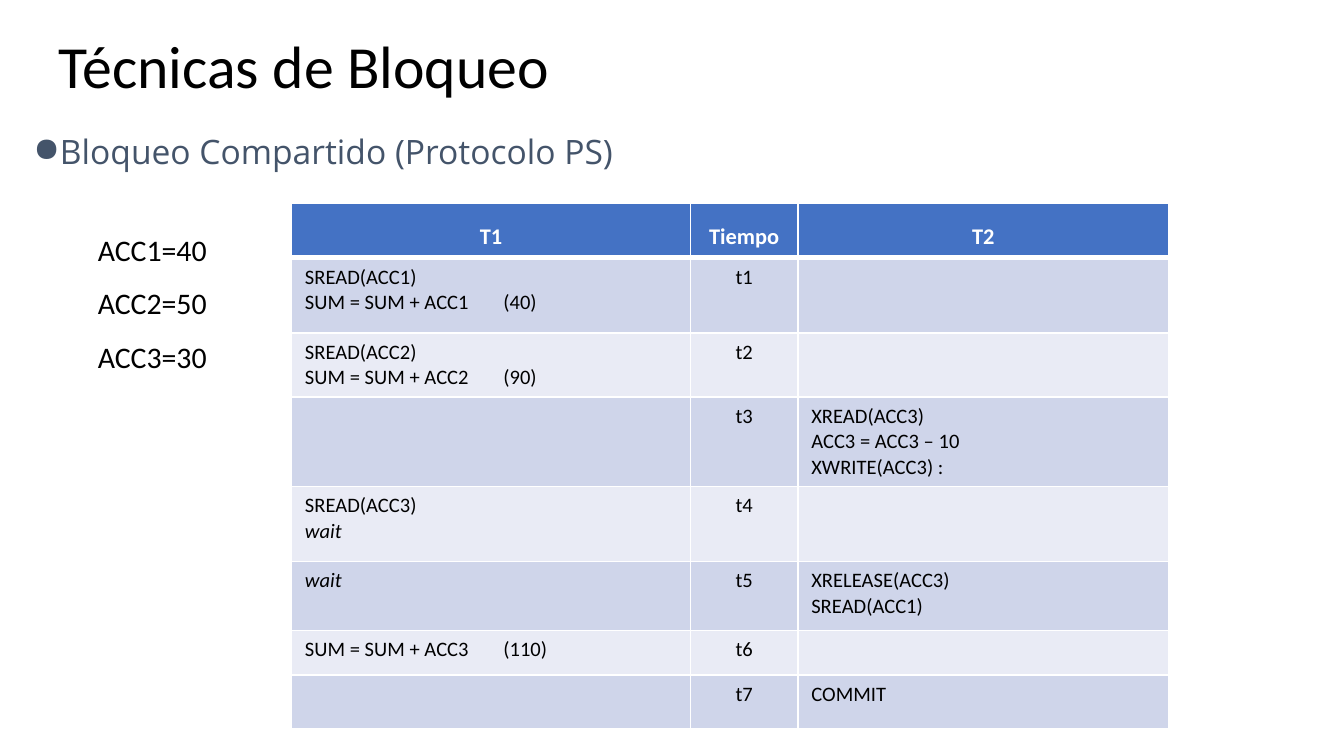
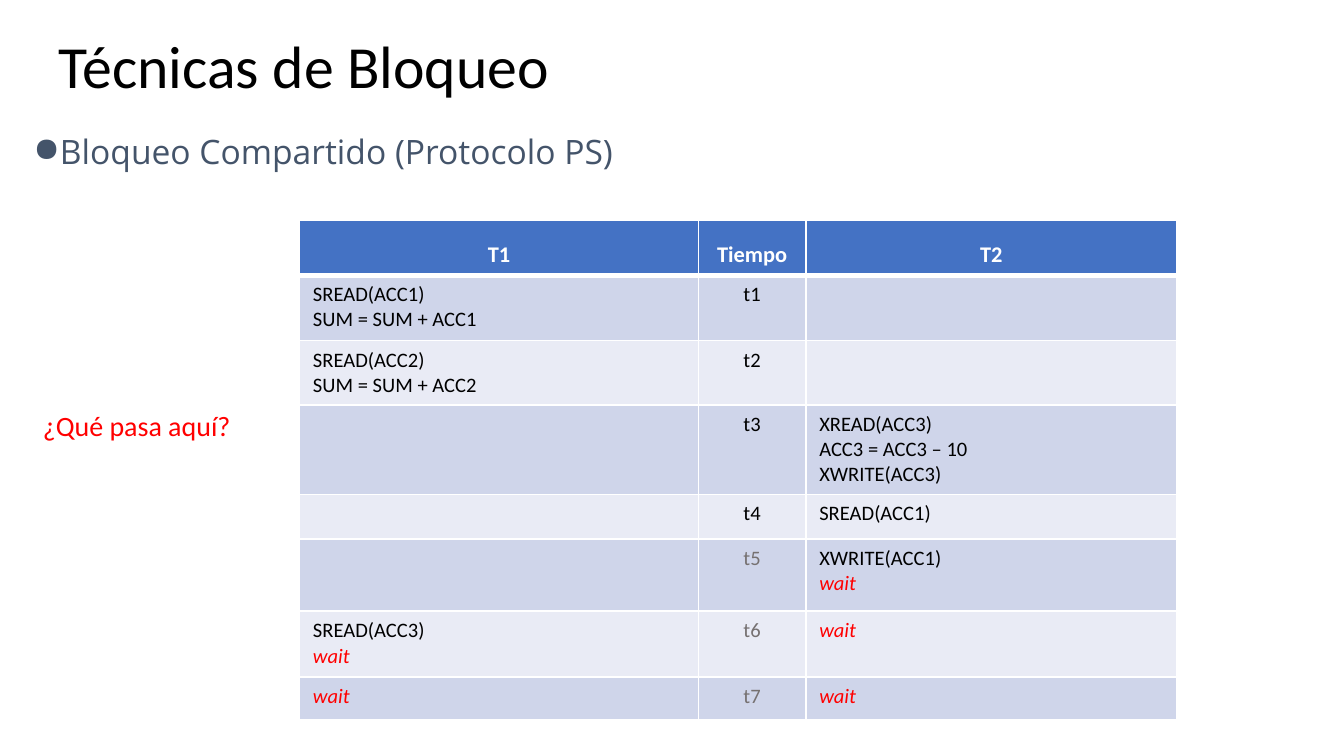
from dataclasses import dataclass
from typing import NamedTuple

from lxml.etree import SubElement as Sub
from pptx import Presentation as Deck
from pptx.dml.color import RGBColor as Rgb
from pptx.enum.text import MSO_ANCHOR as Anchor, MSO_AUTO_SIZE as Fit, PP_ALIGN as Align
from pptx.oxml.ns import qn
from pptx.util import Cm, Pt


@dataclass(frozen=True)
class Theme:
    black: str = "000000"
    white: str = "FFFFFF"
    red: str = "FF0000"
    gray: str = "767171"
    slate: str = "44546A"
    head: str = "4472C4"
    bands: tuple[str, str] = ("CFD5EA", "E9EBF5")
    sans: str = "Calibri"
    open: str = "Open Sans"
    title: float = 32
    topic: float = 18
    label: float = 12
    cell: float = 11
    thin: float = 1
    thick: float = 3


T = Theme()


class Box(NamedTuple):
    left: float
    top: float
    wide: float
    high: float


class Line(NamedTuple):
    text: str
    color: str = T.black
    slant: bool = False


class Step(NamedTuple):
    high: float
    first: tuple[Line, ...] = ()
    last: tuple[Line, ...] = ()
    color: str = T.black


class Grid(NamedTuple):
    left: float
    top: float
    head: float
    steps: tuple[Step, ...]


class Note(NamedTuple):
    box: Box
    lines: tuple[Line, ...]
    size: float
    space: float


class Page(NamedTuple):
    grid: Grid
    note: Note


TITLE = Box(0.86, 0.43, 23.46, 1.75)
TOPIC = Box(0.38, 1.85, 23.46, 2.11)
COLS = (7.54, 2.03, 7.01)
HEADS = ("T1", "Tiempo", "T2")
TAB = Cm(3.75)


def code(*texts: str) -> tuple[Line, ...]:
    return tuple(Line(text) for text in texts)


WAIT = Line("wait", T.black, True)
STUCK = Line("wait", T.red, True)
WRITE = ("XREAD(ACC3)", "ACC3 = ACC3 – 10")

PAGES = (
    Page(
        Grid(5.51, 3.84, 0.84, (
            Step(1.42, code("SREAD(ACC1)", "SUM = SUM + ACC1\t(40)")),
            Step(0.86, code("SREAD(ACC2)", "SUM = SUM + ACC2\t(90)")),
            Step(0.86, (), code(*WRITE, "XWRITE(ACC3) :")),
            Step(1.42, code("SREAD(ACC3)") + (WAIT,)),
            Step(1.3, (WAIT,), code("XRELEASE(ACC3)", "SREAD(ACC1)")),
            Step(0.84, code("SUM = SUM + ACC3\t(110)")),
            Step(1.02, (), code("COMMIT")),
        )),
        Note(Box(1.6, 3.91, 2.59, 3.23), code("ACC1=40", "ACC2=50", "ACC3=30"), 16, 1.5),
    ),
    Page(
        Grid(5.66, 4.17, 0.99, (
            Step(1.24, code("SREAD(ACC1)", "SUM = SUM + ACC1")),
            Step(1.17, code("SREAD(ACC2)", "SUM = SUM + ACC2")),
            Step(1.63, (), code(*WRITE, "XWRITE(ACC3)")),
            Step(0.84, (), code("SREAD(ACC1)")),
            Step(1.37, (), code("XWRITE(ACC1)") + (STUCK,), T.gray),
            Step(1.24, code("SREAD(ACC3)") + (STUCK,), (STUCK,), T.gray),
            Step(0.81, (STUCK,), (STUCK,), T.gray),
        )),
        Note(Box(0.56, 7.59, 4.65, 0.89), (Line("¿Qué pasa aquí?", T.red),), 15, 1.0),
    ),
)


def style(para, size: float, color: str, face: str = T.sans, bold: bool = False, slant: bool = False) -> None:
    font = para.font
    font.size, font.name = Pt(size), face
    font.bold, font.italic = bold, slant
    font.color.rgb = Rgb.from_string(color)


def place(shape, box: Box) -> None:
    shape.left, shape.top, shape.width, shape.height = map(Cm, box)


def pad(frame) -> None:
    frame.margin_left = frame.margin_right = Cm(0.25)
    frame.margin_top = frame.margin_bottom = Cm(0.25)
    frame.word_wrap = True
    frame.auto_size = Fit.NONE


def write(frame, lines: tuple[Line, ...], size: float, space: float = 1.0,
          align: Align = Align.LEFT, bold: bool = False) -> None:
    for i, line in enumerate(lines):
        para = frame.add_paragraph() if i else frame.paragraphs[0]
        para.text = line.text
        para.alignment, para.line_spacing = align, space
        if "\t" in line.text:
            tabs = Sub(para._p.get_or_add_pPr(), qn("a:tabLst"))
            Sub(tabs, qn("a:tab"), pos=str(TAB), algn="l")
        style(para, size, line.color, bold=bold, slant=line.slant)
    if not lines:
        Sub(frame.paragraphs[0]._p, qn("a:endParaRPr"), sz=str(int(size * 100)))


def edge(cell, side: str, width: float) -> None:
    line = Sub(cell._tc.get_or_add_tcPr(), qn(f"a:ln{side}"), w=str(Pt(width)))
    Sub(Sub(line, qn("a:solidFill")), qn("a:srgbClr"), val=T.white)


def paint(cell, color: str, head: bool) -> None:
    for side in "LRTB" if head else "LRB":
        edge(cell, side, T.thick if head and side == "B" else T.thin)
    cell.fill.solid()
    cell.fill.fore_color.rgb = Rgb.from_string(color)


def add_title(slide) -> None:
    shape = slide.shapes.title
    place(shape, TITLE)
    frame = shape.text_frame
    pad(frame)
    frame.vertical_anchor = Anchor.MIDDLE
    write(frame, code("Técnicas de Bloqueo"), T.title, 0.9)


def add_topic(slide) -> None:
    frame = slide.shapes.add_textbox(*map(Cm, TOPIC)).text_frame
    pad(frame)
    para = frame.paragraphs[0]
    para.text = "Bloqueo Compartido (Protocolo PS)"
    para.line_spacing = 1.5
    props = para._p.get_or_add_pPr()
    props.set("marL", str(Cm(0.1)))
    props.set("indent", str(Cm(-0.71)))
    Sub(Sub(props, qn("a:buClr")), qn("a:srgbClr"), val=T.slate)
    Sub(props, qn("a:buChar"), char="●")
    style(para, T.topic, T.slate, T.open)


def add_grid(slide, grid: Grid) -> None:
    highs = (grid.head, *(step.high for step in grid.steps))
    box = Box(grid.left, grid.top, sum(COLS), sum(highs))
    table = slide.shapes.add_table(len(highs), len(COLS), *map(Cm, box)).table
    for col, wide in zip(table.columns, COLS):
        col.width = Cm(wide)
    for row, high in zip(table.rows, highs):
        row.height = Cm(high)
    for j, text in enumerate(HEADS):
        cell = table.cell(0, j)
        paint(cell, T.head, True)
        write(cell.text_frame, (Line(text, T.white),), T.label, 1.5, Align.CENTER, True)
    for i, step in enumerate(grid.steps, 1):
        time = (Line(f"t{i}", step.color),)
        for j, lines in enumerate((step.first, time, step.last)):
            cell = table.cell(i, j)
            paint(cell, T.bands[(i - 1) % 2], False)
            write(cell.text_frame, lines, T.cell, align=Align.CENTER if j == 1 else Align.LEFT)


def add_note(slide, note: Note) -> None:
    frame = slide.shapes.add_textbox(*map(Cm, note.box)).text_frame
    frame.word_wrap = False
    frame.auto_size = Fit.SHAPE_TO_FIT_TEXT
    write(frame, note.lines, note.size, note.space)


def main() -> None:
    deck = Deck()
    deck.slide_width, deck.slide_height = Cm(25.4), Cm(14.29)
    for page in PAGES:
        slide = deck.slides.add_slide(deck.slide_layouts[5])
        add_title(slide)
        add_topic(slide)
        add_grid(slide, page.grid)
        add_note(slide, page.note)
    deck.save("out.pptx")


if __name__ == "__main__":
    main()
